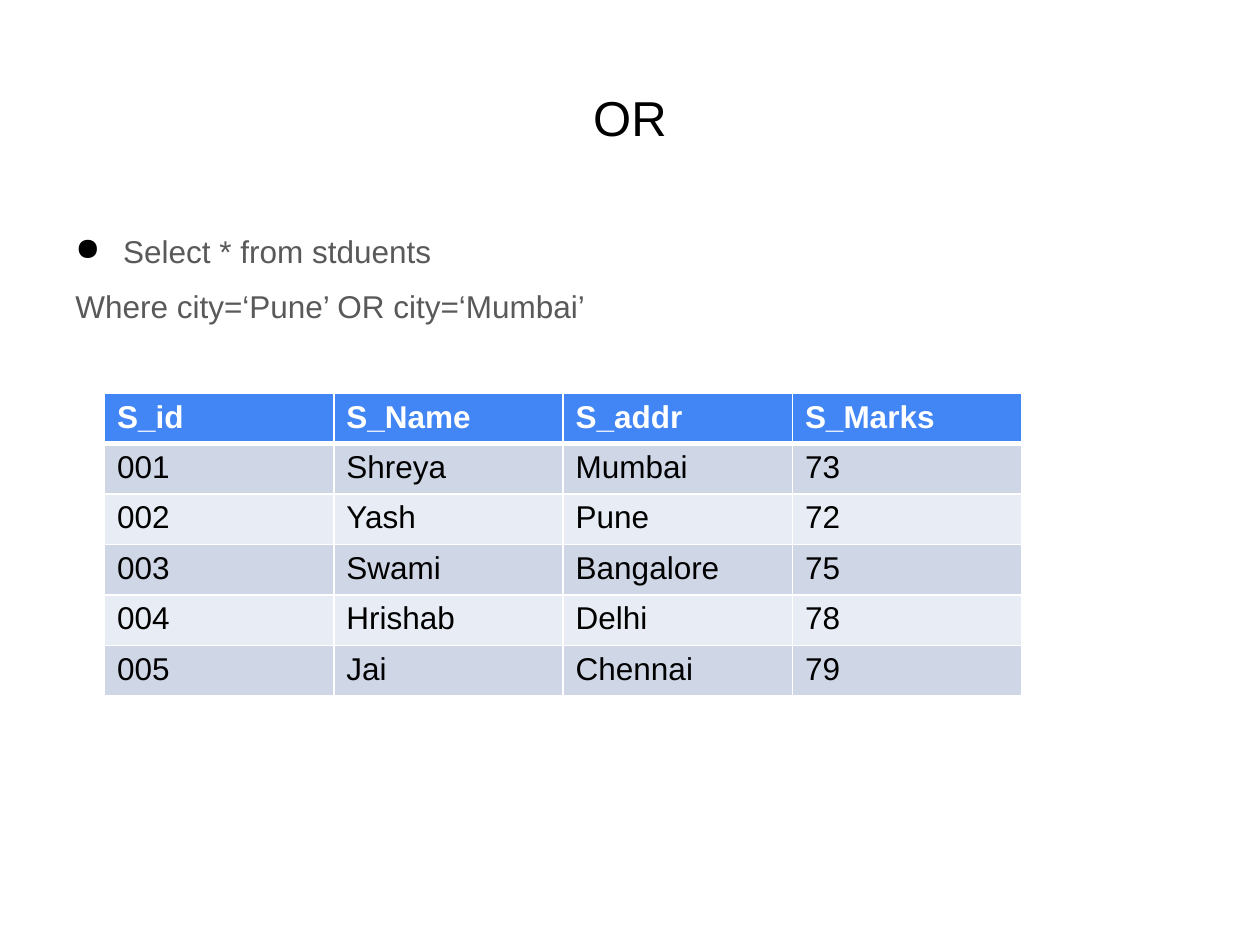
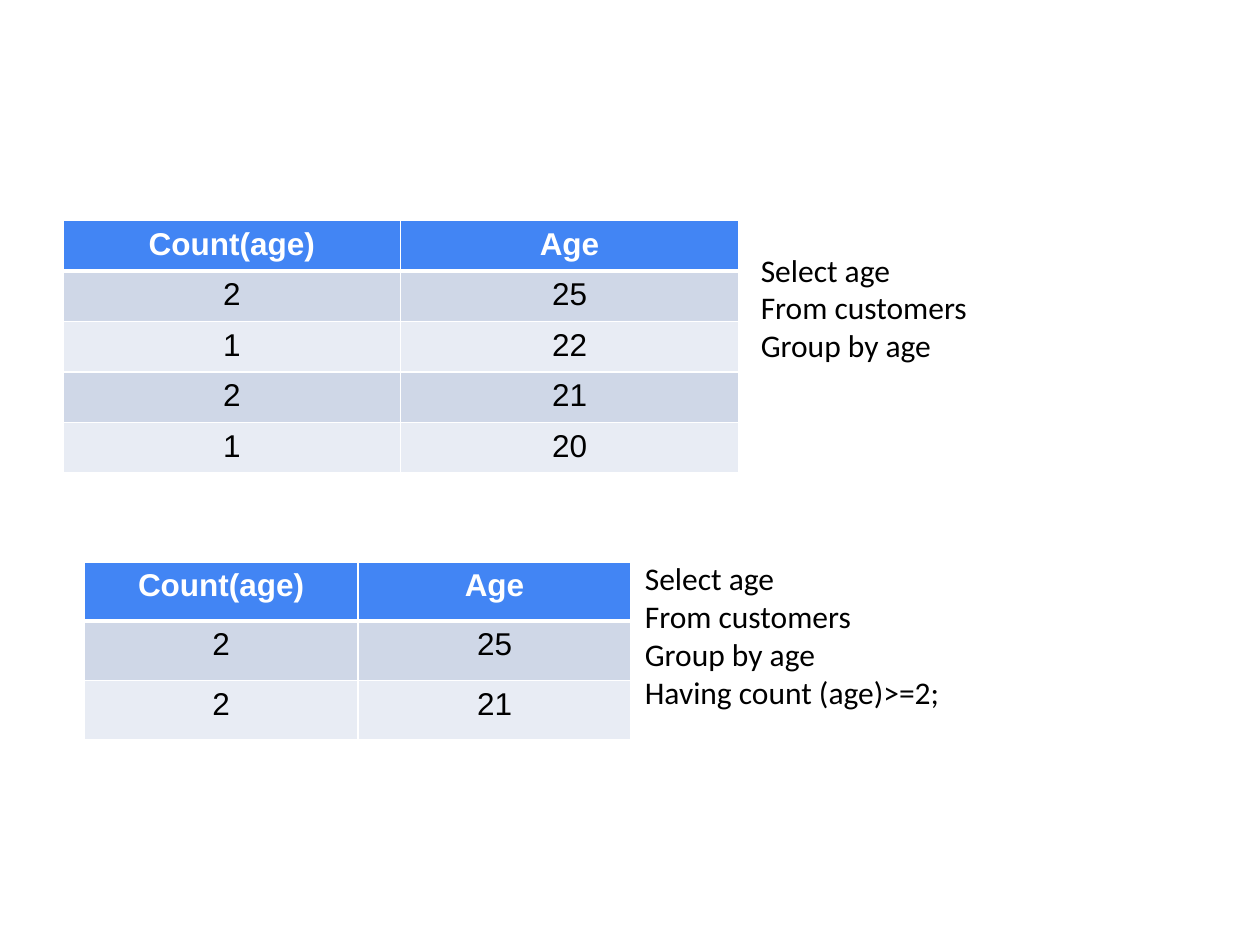
"""Build two SQL slides: the OR operator, and grouping with HAVING."""
from dataclasses import dataclass

from lxml import etree
from pptx import Presentation
from pptx.dml.color import RGBColor
from pptx.enum import text
from pptx.oxml import ns
from pptx.util import Inches, Pt

WHITE = RGBColor(0xFF, 0xFF, 0xFF)
BLACK = RGBColor(0x00, 0x00, 0x00)
GREY = RGBColor(0x59, 0x59, 0x59)
HEADER_BLUE = RGBColor(0x42, 0x85, 0xF4)
BAND_DARK = RGBColor(0xCF, 0xD7, 0xE7)
BAND_LIGHT = RGBColor(0xE8, 0xEC, 0xF4)
TITLE_SIZE = 28
BODY_SIZE = 18
LEFT = text.PP_ALIGN.LEFT
CENTER = text.PP_ALIGN.CENTER


@dataclass(frozen=True)
class TextBlock:
    """Lines of text in one box, measured in inches."""

    left: float
    top: float
    width: float
    height: float
    lines: tuple[str, ...]
    font: str = "Calibri"
    size: int = BODY_SIZE
    color: RGBColor = BLACK
    alignment: text.PP_ALIGN = LEFT
    anchor: text.MSO_ANCHOR = text.MSO_ANCHOR.TOP


@dataclass(frozen=True)
class DataTable:
    """A banded table with equal columns and rows, measured in inches."""

    left: float
    top: float
    column_width: float
    row_height: float
    rows: tuple[tuple[str, ...], ...]
    alignment: text.PP_ALIGN = LEFT


OR_TITLE = TextBlock(0.5, 0.3, 9, 1.25, ("OR",), "Arial", TITLE_SIZE,
                     alignment=CENTER, anchor=text.MSO_ANCHOR.MIDDLE)
OR_QUERY = TextBlock(0.5, 1.75, 9, 4.95, (
    "Select * from stduents",
    "Where city=‘Pune’ OR city=‘Mumbai’",
), "Arial", color=GREY)
STUDENTS = DataTable(0.83, 3.12, 1.82, 0.38, (
    ("S_id", "S_Name", "S_addr", "S_Marks"),
    ("001", "Shreya", "Mumbai", "73"),
    ("002", "Yash", "Pune", "72"),
    ("003", "Swami", "Bangalore", "75"),
    ("004", "Hrishab", "Delhi", "78"),
    ("005", "Jai", "Chennai", "79"),
))

AGE_HEADER = ("Count(age)", "Age")
GROUP_LINES = ("Select age", "From customers", "Group by age")
AGE_GROUPS = DataTable(0.5, 1.75, 2.68, 0.4, (
    AGE_HEADER, ("2", "25"), ("1", "22"), ("2", "21"), ("1", "20"),
), CENTER)
REPEATED_AGES = DataTable(0.67, 4.46, 2.17, 0.47, (
    AGE_HEADER, ("2", "25"), ("2", "21"),
), CENTER)
GROUP_QUERY = TextBlock(5.94, 1.94, 5, 1.01, GROUP_LINES)
HAVING_QUERY = TextBlock(5.02, 4.39, 5, 1.31,
                         GROUP_LINES + ("Having count (age)>=2;",))


def add_run(paragraph, content: str, font: str, size: int, color: RGBColor,
            bold: bool = False) -> None:
    """Add one styled run to a paragraph."""
    run = paragraph.add_run()
    run.text = content
    run.font.name = font
    run.font.size = Pt(size)
    run.font.bold = bold
    run.font.color.rgb = color


def add_text(slide, block: TextBlock):
    """Draw a text block and return its paragraphs."""
    box = slide.shapes.add_textbox(Inches(block.left), Inches(block.top),
                                   Inches(block.width), Inches(block.height))
    frame = box.text_frame
    frame.word_wrap = True
    frame.vertical_anchor = block.anchor
    for index, line in enumerate(block.lines):
        paragraph = frame.add_paragraph() if index else frame.paragraphs[0]
        paragraph.alignment = block.alignment
        add_run(paragraph, line, block.font, block.size, block.color)
    return frame.paragraphs


def add_bullet(paragraph, indent: float) -> None:
    """Give a paragraph a black round bullet with a hanging indent."""
    properties = paragraph._p.get_or_add_pPr()
    properties.set("marL", str(Inches(indent)))
    properties.set("indent", str(-Inches(indent)))
    color = etree.SubElement(properties, ns.qn("a:buClr"))
    etree.SubElement(color, ns.qn("a:srgbClr"), val=str(BLACK))
    etree.SubElement(properties, ns.qn("a:buChar"), char="●")


def add_borders(cell, top: int, bottom: int) -> None:
    """Outline a cell in white with the given top and bottom widths."""
    properties = cell._tc.get_or_add_tcPr()
    for side, width in (("L", 1), ("R", 1), ("T", top), ("B", bottom)):
        line = etree.SubElement(properties, ns.qn(f"a:ln{side}"), w=str(Pt(width)))
        fill = etree.SubElement(line, ns.qn("a:solidFill"))
        etree.SubElement(fill, ns.qn("a:srgbClr"), val=str(WHITE))


def add_data_table(slide, data: DataTable) -> None:
    """Draw a table with a blue header and alternating row fills."""
    row_count, column_count = len(data.rows), len(data.rows[0])
    table = slide.shapes.add_table(
        row_count, column_count, Inches(data.left), Inches(data.top),
        Inches(data.column_width * column_count),
        Inches(data.row_height * row_count)).table
    for column in table.columns:
        column.width = Inches(data.column_width)
    for row_index, values in enumerate(data.rows):
        table.rows[row_index].height = Inches(data.row_height)
        is_header = row_index == 0
        band = BAND_DARK if row_index % 2 else BAND_LIGHT
        for column_index, value in enumerate(values):
            cell = table.cell(row_index, column_index)
            add_borders(cell, top=3 if row_index == 1 else 1,
                        bottom=3 if is_header else 1)
            cell.fill.solid()
            cell.fill.fore_color.rgb = HEADER_BLUE if is_header else band
            paragraph = cell.text_frame.paragraphs[0]
            paragraph.alignment = data.alignment
            add_run(paragraph, value, "Arial", BODY_SIZE,
                    WHITE if is_header else BLACK, bold=is_header)


def build_or_slide(slide) -> None:
    """Show the OR query and the students table."""
    add_text(slide, OR_TITLE)
    select_line, where_line = add_text(slide, OR_QUERY)
    add_bullet(select_line, 0.38)
    for paragraph in (select_line, where_line):
        paragraph.line_spacing = 1.15
    where_line.space_before = Pt(6.4)
    add_data_table(slide, STUDENTS)


def build_group_slide(slide) -> None:
    """Show grouped ages with their queries."""
    for data in (AGE_GROUPS, REPEATED_AGES):
        add_data_table(slide, data)
    for query in (GROUP_QUERY, HAVING_QUERY):
        add_text(slide, query)


def main() -> None:
    """Build and save the presentation."""
    presentation = Presentation()
    presentation.slide_width = Inches(10)
    presentation.slide_height = Inches(7.5)
    for build in (build_or_slide, build_group_slide):
        slide = presentation.slides.add_slide(presentation.slide_layouts[6])
        slide.background.fill.solid()
        slide.background.fill.fore_color.rgb = WHITE
        build(slide)
    presentation.save("out.pptx")


if __name__ == "__main__":
    main()
